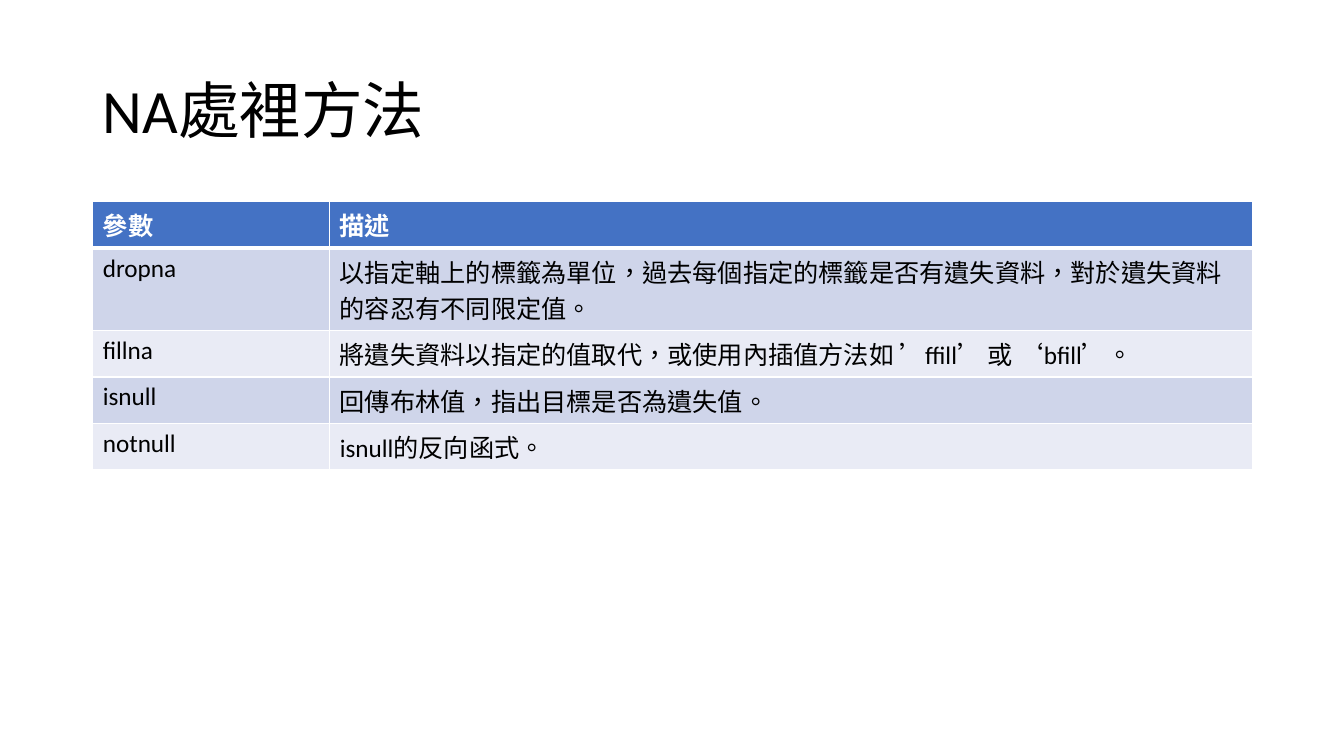
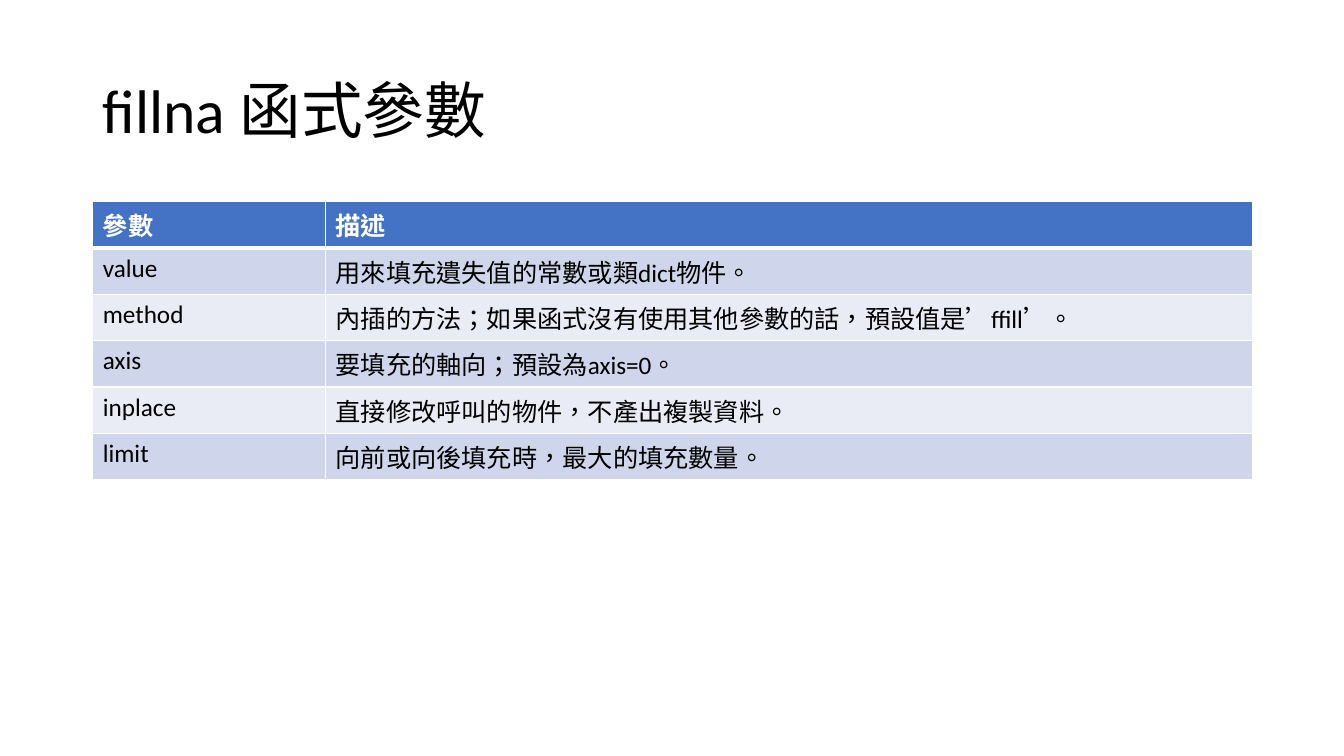
from lxml import etree
from pptx import Presentation
from pptx.dml.color import RGBColor
from pptx.enum.lang import MSO_LANGUAGE_ID
from pptx.enum.text import MSO_ANCHOR
from pptx.oxml.ns import qn
from pptx.util import Inches, Pt

MIDDLE = MSO_ANCHOR.MIDDLE
CHINESE = MSO_LANGUAGE_ID.TRADITIONAL_CHINESE

FONT = "Calibri"
WHITE, BLACK = "FFFFFF", "000000"
HEADER_FILL = "4472C4"
BAND_FILLS = ("CFD5EA", "E9EBF5")
TITLE_BOX = (0.92, 0.4, 11.5, 1.45)
TABLE_BOX = (0.92, 2, 11.5)
ROW_PADDING, LINE_HEIGHT = 0.1, 0.36
THIN, THICK = 1, 3
HEADER = ("參數", "描述", 1)

SLIDES = [
    ("NA處裡方法", 2.35, [
        ("dropna", "以指定軸上的標籤為單位，過去每個指定的標籤是否有遺失資料，對於遺失資料的容忍有不同限定值。", 2),
        ("fillna", "將遺失資料以指定的值取代，或使用內插值方法如 ’ffill’ 或 ‘bfill’。", 1),
        ("isnull", "回傳布林值，指出目標是否為遺失值。", 1),
        ("notnull", "isnull的反向函式。", 1),
    ]),
    ("fillna 函式參數", 2.31, [
        ("value", "用來填充遺失值的常數或類dict物件。", 1),
        ("method", "內插的方法；如果函式沒有使用其他參數的話，預設值是’ffill’。", 1),
        ("axis", "要填充的軸向；預設為axis=0。", 1),
        ("inplace", "直接修改呼叫的物件，不產出複製資料。", 1),
        ("limit", "向前或向後填充時，最大的填充數量。", 1),
    ]),
]


def rgb(value):
    """Turn a hex string into a colour."""
    return RGBColor.from_string(value)


def write(frame, text, size, color, bold=False):
    """Put one styled paragraph in a text frame and return it."""
    frame.text = text
    paragraph = frame.paragraphs[0]
    for run in paragraph.runs:
        font = run.font
        font.name, font.size, font.bold = FONT, Pt(size), bold
        font.color.rgb = rgb(color)
        font.language_id = CHINESE
    return paragraph


def add_title(slide, box, text):
    """Add the slide title, centred vertically in its box."""
    frame = slide.shapes.add_textbox(*map(Inches, box)).text_frame
    frame.word_wrap = True
    frame.vertical_anchor = MIDDLE
    write(frame, text, 44, BLACK).line_spacing = 0.9


def add_borders(cell, top, bottom):
    """Give a cell white borders with the given top and bottom widths."""
    properties = cell._tc.get_or_add_tcPr()
    for side, width in (("L", THIN), ("R", THIN), ("T", top), ("B", bottom)):
        line = etree.SubElement(properties, qn(f"a:ln{side}"), w=str(Pt(width)))
        fill = etree.SubElement(line, qn("a:solidFill"))
        etree.SubElement(fill, qn("a:srgbClr"), val=WHITE)


def add_parameter_table(slide, box, name_width, entries):
    """Add a banded table whose rows fit their number of text lines."""
    left, top, width = box
    entries = [HEADER, *entries]
    heights = [ROW_PADDING + LINE_HEIGHT * lines for _, _, lines in entries]
    table = slide.shapes.add_table(
        len(entries), 2, Inches(left), Inches(top),
        Inches(width), Inches(sum(heights))).table
    table.columns[0].width = Inches(name_width)
    table.columns[1].width = Inches(width - name_width)
    for index, (name, description, _) in enumerate(entries):
        row = table.rows[index]
        row.height = Inches(heights[index])
        header = index == 0
        fill = HEADER_FILL if header else BAND_FILLS[(index - 1) % 2]
        for cell, text in zip(row.cells, (name, description)):
            add_borders(cell, THICK if index == 1 else THIN,
                        THICK if header else THIN)
            cell.fill.solid()
            cell.fill.fore_color.rgb = rgb(fill)
            write(cell.text_frame, text, 18, WHITE if header else BLACK, header)


def main():
    """Build and save the presentation."""
    deck = Presentation()
    deck.slide_width, deck.slide_height = Inches(13.33), Inches(7.5)
    for title, name_width, entries in SLIDES:
        slide = deck.slides.add_slide(deck.slide_layouts[6])
        add_title(slide, TITLE_BOX, title)
        add_parameter_table(slide, TABLE_BOX, name_width, entries)
    deck.save("out.pptx")


if __name__ == "__main__":
    main()
